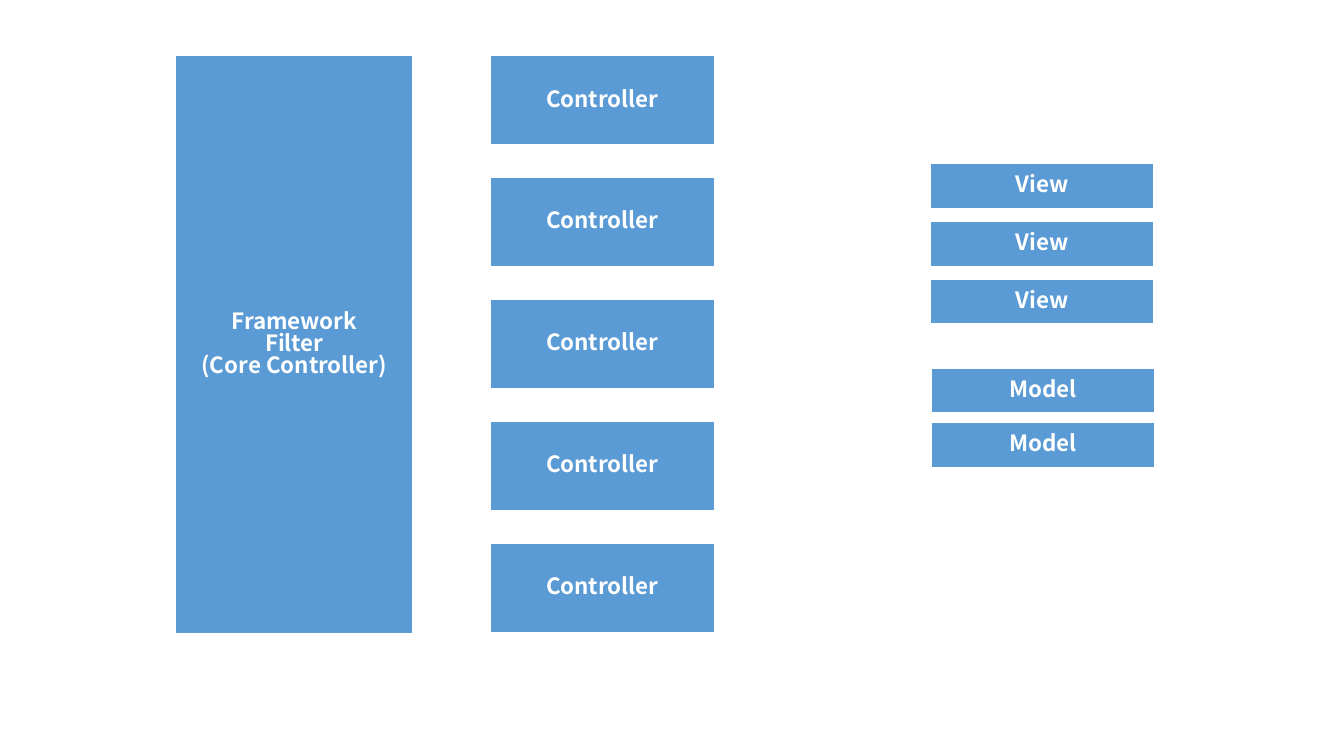
from pptx import Presentation
from pptx.dml.color import RGBColor
from pptx.enum.shapes import MSO_SHAPE
from pptx.enum.text import MSO_ANCHOR, PP_ALIGN
from pptx.util import Inches, Pt

RECTANGLE = MSO_SHAPE.RECTANGLE
MIDDLE = MSO_ANCHOR.MIDDLE
CENTER = PP_ALIGN.CENTER
BLANK_LAYOUT = 6
COLORS = {"box": "5B9BD5", "outline": "FFFFFF", "text": "FFFFFF"}


class DiagramBuilder:
    """Draws labelled boxes in one style on the current slide."""

    def __init__(self, slide):
        self.slide = slide
        self.font_name = "Noto Sans CJK SC"
        self.font_size = Pt(16)
        self.line_spacing = 0.83

    def color(self, name):
        return RGBColor.from_string(COLORS[name])

    def box(self, left, top, width, height, lines):
        shape = self.slide.shapes.add_shape(
            RECTANGLE, Inches(left), Inches(top), Inches(width), Inches(height)
        )
        shape.shadow.inherit = False
        shape.fill.solid()
        shape.fill.fore_color.rgb = self.color("box")
        shape.line.color.rgb = self.color("outline")
        shape.line.width = Pt(1.5)
        text_frame = shape.text_frame
        text_frame.word_wrap = True
        text_frame.vertical_anchor = MIDDLE
        text_frame.text = "\n".join(lines)
        for paragraph in text_frame.paragraphs:
            paragraph.alignment = CENTER
            paragraph.line_spacing = self.line_spacing
            paragraph.font.name = self.font_name
            paragraph.font.size = self.font_size
            paragraph.font.bold = True
            paragraph.font.color.rgb = self.color("text")

    def stack(self, label, count, left, top, height, pitch):
        for index in range(count):
            self.box(left, top + index * pitch, 2.23, height, [label])


def main():
    presentation = Presentation()
    presentation.slide_width = Inches(13.33)
    presentation.slide_height = Inches(7.5)
    slide = presentation.slides.add_slide(presentation.slide_layouts[BLANK_LAYOUT])

    diagram = DiagramBuilder(slide)
    diagram.box(1.74, 0.55, 2.36, 5.74, ["Framework", "Filter", "(Core Controller)"])
    diagram.stack("Controller", 5, left=4.86, top=0.55, height=0.89, pitch=1.21)
    diagram.stack("View", 3, left=9.22, top=1.62, height=0.45, pitch=0.575)
    diagram.stack("Model", 2, left=9.23, top=3.65, height=0.45, pitch=0.54)

    presentation.save("out.pptx")


if __name__ == "__main__":
    main()
